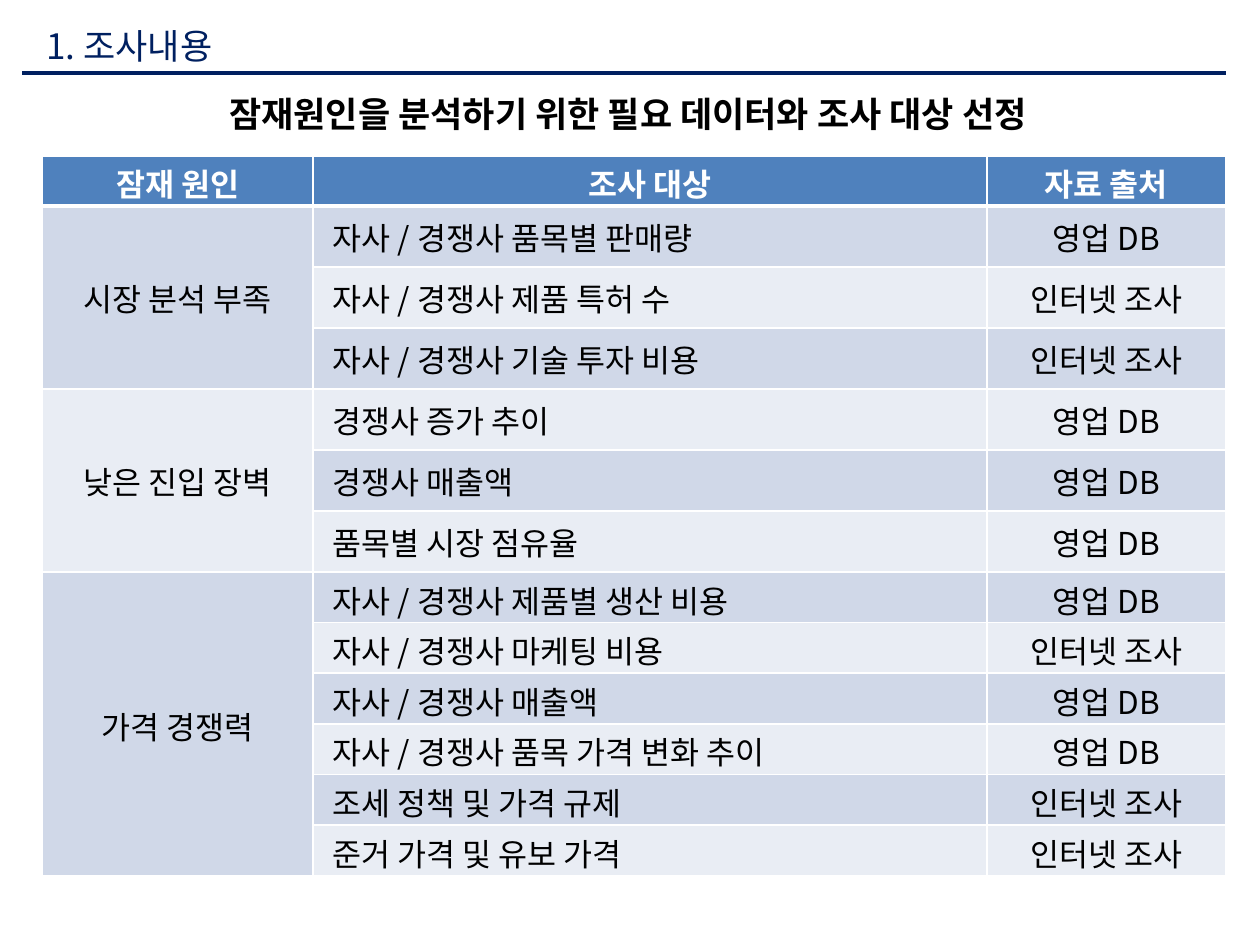
from dataclasses import dataclass

from lxml.etree import SubElement
from pptx import Presentation
from pptx.dml.color import RGBColor as Rgb
from pptx.enum.shapes import MSO_CONNECTOR as Connector
from pptx.enum.text import MSO_ANCHOR as Anchor, MSO_AUTO_SIZE as AutoSize, PP_ALIGN as Align
from pptx.oxml import parse_xml
from pptx.oxml.ns import nsdecls, qn
from pptx.util import Cm, Pt


@dataclass(frozen=True)
class Theme:
    """Colours, font and type sizes of the slide."""
    font: str = "Noto Sans CJK KR"
    navy: str = "002060"
    black: str = "000000"
    white: str = "FFFFFF"
    header: str = "4F81BD"
    bands: tuple = ("D0D8E8", "E9EDF4")
    heading_size: int = 20
    table_size: int = 18
    rule_width: float = 2.25
    border_width: int = 1
    header_border_width: int = 3


THEME = Theme()
SALES, WEB = "영업 DB", "인터넷 조사"
HEADERS = ("잠재 원인", "조사 대상", "자료 출처")
CAUSES = {
    "시장 분석 부족": [
        ("자사 / 경쟁사 품목별 판매량", SALES),
        ("자사 / 경쟁사 제품 특허 수", WEB),
        ("자사 / 경쟁사 기술 투자 비용", WEB),
    ],
    "낮은 진입 장벽": [
        ("경쟁사 증가 추이", SALES),
        ("경쟁사 매출액", SALES),
        ("품목별 시장 점유율", SALES),
    ],
    "가격 경쟁력": [
        ("자사 / 경쟁사 제품별 생산 비용", SALES),
        ("자사 / 경쟁사 마케팅 비용", WEB),
        ("자사 / 경쟁사 매출액", SALES),
        ("자사 / 경쟁사 품목 가격 변화 추이", SALES),
        ("조세 정책 및 가격 규제", WEB),
        ("준거 가격 및 유보 가격", WEB),
    ],
}
COLUMN_WIDTHS = (5.46, 13.59, 4.8)
HEADER_HEIGHT, ROOMY_HEIGHT, COMPACT_HEIGHT = 1.0, 1.23, 1.02
COMPACT_MARGINS = {"margin_top": Cm(0.08), "margin_bottom": Cm(0)}


def apply(target, formats):
    """Set every attribute in formats on target."""
    for attribute, value in formats.items():
        setattr(target, attribute, value)


def write(frame, wording, size, color, bold=False, align=Align.LEFT):
    """Write one formatted paragraph into a text frame."""
    paragraph = frame.paragraphs[0]
    paragraph.alignment = align
    run = paragraph.add_run()
    run.text = wording
    apply(run.font, {"name": THEME.font, "size": Pt(size), "bold": bold})
    run.font.color.rgb = Rgb.from_string(color)
    SubElement(run.font._element, qn("a:ea")).set("typeface", THEME.font)


def add_heading(slide, left, top, width):
    """Place the section title and the rule below it."""
    title = slide.shapes.title
    apply(title, {"left": Cm(left + 0.23), "top": Cm(top),
                  "width": Cm(19.94), "height": Cm(1.09)})
    apply(title.text_frame, {"vertical_anchor": Anchor.MIDDLE, "word_wrap": True,
                             "auto_size": AutoSize.NONE})
    write(title.text_frame, "1. 조사내용", THEME.heading_size, THEME.navy)
    rule_top = Cm(top + 1.09)
    rule = slide.shapes.add_connector(
        Connector.STRAIGHT, Cm(left), rule_top, Cm(left + width), rule_top)
    rule.line.color.rgb = Rgb.from_string(THEME.navy)
    rule.line.width = Pt(THEME.rule_width)
    SubElement(rule._element.spPr, qn("a:effectLst"))


def add_message(slide, left, top, width, height):
    """Place the key message centred in its box."""
    message = slide.shapes.add_textbox(Cm(left), Cm(top), Cm(width), Cm(height))
    apply(message.text_frame, {"word_wrap": True, "vertical_anchor": Anchor.MIDDLE})
    write(message.text_frame, "잠재원인을 분석하기 위한 필요 데이터와 조사 대상 선정",
          THEME.heading_size, THEME.black, True, Align.CENTER)


def add_borders(cell, widths):
    """Draw white cell borders, left, right, top and bottom."""
    properties = cell._tc.get_or_add_tcPr()
    for index, (side, width) in enumerate(zip("LRTB", widths)):
        properties.insert(index, parse_xml(
            f'<a:ln{side} {nsdecls("a")} w="{Pt(width)}"><a:solidFill>'
            f'<a:srgbClr val="{THEME.white}"/></a:solidFill></a:ln{side}>'))


def fill_cell(cell, wording, fill, formats, header=False, align=Align.CENTER):
    """Format one cell and write its wording."""
    cell.fill.solid()
    cell.fill.fore_color.rgb = Rgb.from_string(fill)
    apply(cell, {"vertical_anchor": Anchor.MIDDLE, **formats})
    color = THEME.white if header else THEME.black
    if wording:
        write(cell.text_frame, wording, THEME.table_size, color, header, align)
    thin, thick = THEME.border_width, THEME.header_border_width
    add_borders(cell, (thin, thin, thin, thick if header else thin))


def add_survey_table(slide, left, top):
    """Place the table of causes, survey targets and sources."""
    heights = [HEADER_HEIGHT]
    for targets in CAUSES.values():
        heights += [ROOMY_HEIGHT if len(targets) == 3 else COMPACT_HEIGHT] * len(targets)
    table = slide.shapes.add_table(
        len(heights), len(HEADERS), Cm(left), Cm(top),
        Cm(sum(COLUMN_WIDTHS)), Cm(sum(heights))).table
    for column, width in zip(table.columns, COLUMN_WIDTHS):
        column.width = Cm(width)
    for row, height in zip(table.rows, heights):
        row.height = Cm(height)
    for column, label in enumerate(HEADERS):
        fill_cell(table.cell(0, column), label, THEME.header, COMPACT_MARGINS, True)

    row = 1
    for cause_index, (cause, targets) in enumerate(CAUSES.items()):
        first, last = row, row + len(targets) - 1
        margins = {} if len(targets) == 3 else COMPACT_MARGINS
        for target, source in targets:
            band = THEME.bands[(row - 1) % 2]
            fill_cell(table.cell(row, 0), cause if row == first else "",
                      THEME.bands[cause_index % 2], margins)
            fill_cell(table.cell(row, 1), target, band,
                      {"margin_left": Cm(0.4), **margins}, align=Align.LEFT)
            fill_cell(table.cell(row, 2), source, band, margins)
            row += 1
        table.cell(first, 0).merge(table.cell(last, 0))


def main():
    """Build the slide and save it."""
    deck = Presentation()
    apply(deck, {"slide_width": Cm(25.4), "slide_height": Cm(19.05)})
    slide = deck.slides.add_slide(deck.slide_layouts.get_by_name("Title Only"))
    add_heading(slide, 0.45, 0.38, 24.26)
    add_message(slide, 0.76, 1.73, 23.8, 1.12)
    add_survey_table(slide, 0.85, 3.15)
    deck.save("out.pptx")


main()
